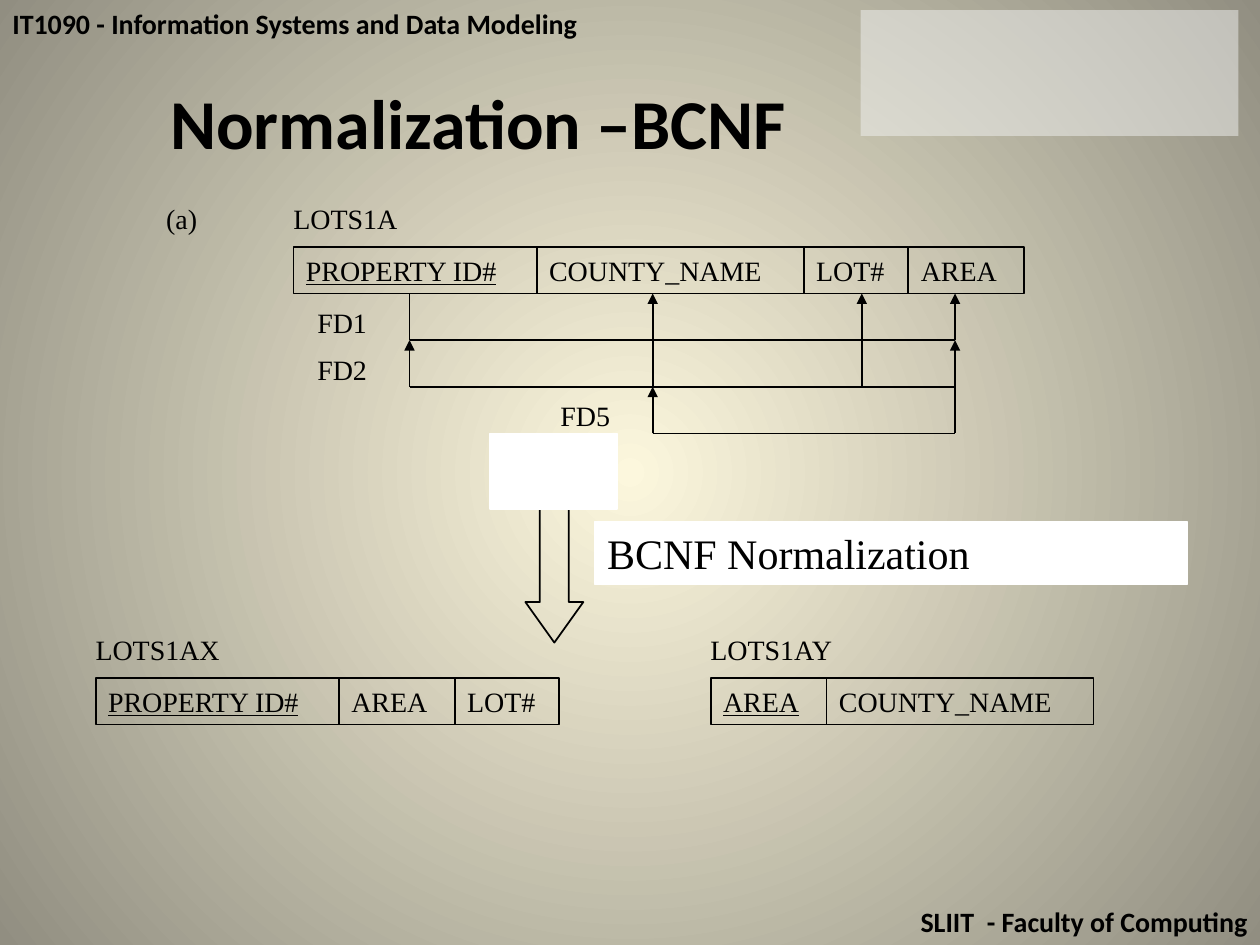
from dataclasses import dataclass

from lxml.etree import SubElement
from pptx import Presentation
from pptx.dml.color import RGBColor as RGB
from pptx.enum.shapes import MSO_CONNECTOR as Conn, MSO_SHAPE as Shape
from pptx.enum.text import MSO_ANCHOR as Anchor, PP_ALIGN as Align
from pptx.oxml.ns import qn
from pptx.util import Inches, Pt


@dataclass(frozen=True)
class Theme:
    ink: RGB = RGB.from_string("000000")
    white: RGB = RGB.from_string("FFFFFF")
    panel: RGB = RGB.from_string("F2F2F2")
    glow: RGB = RGB.from_string("FCF7DD")
    edge: RGB = RGB.from_string("918E81")
    heading: str = "Calibri"
    body: str = "Times New Roman"
    title: int = 40
    callout: int = 24
    label: int = 16
    line: int = 1


T = Theme()
WIDTH, HEIGHT = 10, 7.5
ROW = 0.37
LABEL_H = 0.46
TOP = 1.96
CELL_W = {"PROPERTY ID#": 1.93, "COUNTY_NAME": 2.12, "LOT#": 0.83, "AREA": 0.92}
STOPS = {"PROPERTY ID#": 3.25, "COUNTY_NAME": 5.18, "LOT#": 6.84, "AREA": 7.58}

RELATIONS = [
    ("LOTS1A", 2.33, TOP, ["PROPERTY ID#", "COUNTY_NAME", "LOT#", "AREA"]),
    ("LOTS1AX", 0.76, 5.38, ["PROPERTY ID#", "AREA", "LOT#"]),
    ("LOTS1AY", 5.64, 5.38, ["AREA", "COUNTY_NAME"]),
]
DEPENDENCIES = [
    ("FD1", ["PROPERTY ID#"], ["COUNTY_NAME", "LOT#", "AREA"]),
    ("FD2", ["COUNTY_NAME", "LOT#"], ["PROPERTY ID#", "AREA"]),
    ("FD5", ["AREA"], ["COUNTY_NAME"]),
]


def set_background(s):
    fill = s.background.fill
    fill.gradient()
    for stop, color in zip(fill.gradient_stops, (T.glow, T.edge)):
        stop.color.rgb = color
    grad = next(s.element.iter(qn("a:gradFill")))
    grad.remove(grad.find(qn("a:lin")))
    path = SubElement(grad, qn("a:path"), path="circle")
    SubElement(path, qn("a:fillToRect"), dict.fromkeys("ltrb", "50000"))


def write(sp, text, size=T.label, font=T.body, bold=False, underline=False,
          align=Align.LEFT, anchor=Anchor.MIDDLE, wrap=False):
    tf = sp.text_frame
    tf.word_wrap = wrap
    tf.vertical_anchor = anchor
    p = tf.paragraphs[0]
    p.text = text
    p.alignment = align
    f = p.font
    f.name, f.size, f.bold, f.underline = font, Pt(size), bold, underline
    f.color.rgb = T.ink


def add_text(s, x, y, w, h, text, **style):
    sp = s.shapes.add_textbox(*map(Inches, (x, y, w, h)))
    write(sp, text, **style)


def add_box(s, x, y, w, h, fill=None, line=T.ink, kind=Shape.RECTANGLE):
    sp = s.shapes.add_shape(kind, *map(Inches, (x, y, w, h)))
    sp.shadow.inherit = False
    if fill is None:
        sp.fill.background()
    else:
        sp.fill.solid()
        sp.fill.fore_color.rgb = fill
    if line is None:
        sp.line.fill.background()
    else:
        sp.line.color.rgb = line
        sp.line.width = Pt(T.line)
    return sp


def add_line(s, x1, y1, x2, y2, arrow=False):
    c = s.shapes.add_connector(Conn.STRAIGHT, *map(Inches, (x1, y1, x2, y2)))
    c.line.color.rgb = T.ink
    c.line.width = Pt(T.line)
    if arrow:
        SubElement(c.line._get_or_add_ln(), qn("a:tailEnd"), type="triangle")
    SubElement(c.element.spPr, qn("a:effectLst"))


def add_frame(s):
    bar = dict(font=T.heading, bold=True, anchor=Anchor.TOP, wrap=True)
    add_text(s, 0, 0, WIDTH, ROW, "IT1090 - Information Systems and Data Modeling", **bar)
    add_text(s, 0, HEIGHT - ROW, WIDTH, ROW, "SLIIT  - Faculty of Computing",
             align=Align.RIGHT, **bar)
    panel = add_box(s, 6.83, 0.08, 3, 1, fill=T.panel, line=None)
    color = next(panel.element.spPr.iter(qn("a:srgbClr")))
    SubElement(color, qn("a:alpha"), val="50000")


def add_title(s, text):
    sp = s.shapes.title
    sp.left, sp.top = Inches(WIDTH / 8), Inches(0.58)
    sp.width, sp.height = Inches(WIDTH * 0.75), Inches(0.77)
    write(sp, text, size=T.title, font=T.heading, bold=True, wrap=True)


def add_relation(s, name, x, y, columns):
    add_text(s, x - 0.1, y - LABEL_H, 1.75, LABEL_H, name)
    for i, column in enumerate(columns):
        cell = add_box(s, x, y, CELL_W[column], ROW)
        write(cell, column, underline=i == 0)
        x += CELL_W[column]


def add_dependency(s, level, name, plain, arrows):
    top = TOP + ROW * level
    bottom = top + ROW
    xs = [STOPS[column] for column in plain + arrows]
    add_line(s, min(xs), bottom, max(xs), bottom)
    for column in plain + arrows:
        add_line(s, STOPS[column], bottom, STOPS[column], top, arrow=column in arrows)
    add_text(s, min(xs) - 0.83, top, 0.74, LABEL_H, name)


def add_step(s, text):
    arrow = add_box(s, 4.17, 3.81, 0.46, 1.29, kind=Shape.DOWN_ARROW)
    arrow.adjustments[0], arrow.adjustments[1] = 0.5, 0.7
    add_box(s, 3.89, 3.44, 1.01, 0.6, fill=T.white, line=T.white)
    callout = add_box(s, 4.72, 4.14, 4.7, 0.5, fill=T.white, line=T.white)
    write(callout, text, size=T.callout, anchor=Anchor.TOP, wrap=True)


def main():
    prs = Presentation()
    prs.slide_width, prs.slide_height = Inches(WIDTH), Inches(HEIGHT)
    s = prs.slides.add_slide(prs.slide_layouts[5])
    set_background(s)
    add_frame(s)
    add_title(s, "Normalization –BCNF")
    add_text(s, 1.22, TOP - LABEL_H, 1.75, LABEL_H, "(a)")
    for relation in RELATIONS:
        add_relation(s, *relation)
    for level, dependency in enumerate(DEPENDENCIES, start=1):
        add_dependency(s, level, *dependency)
    add_step(s, "BCNF Normalization")
    prs.save("out.pptx")


if __name__ == "__main__":
    main()
